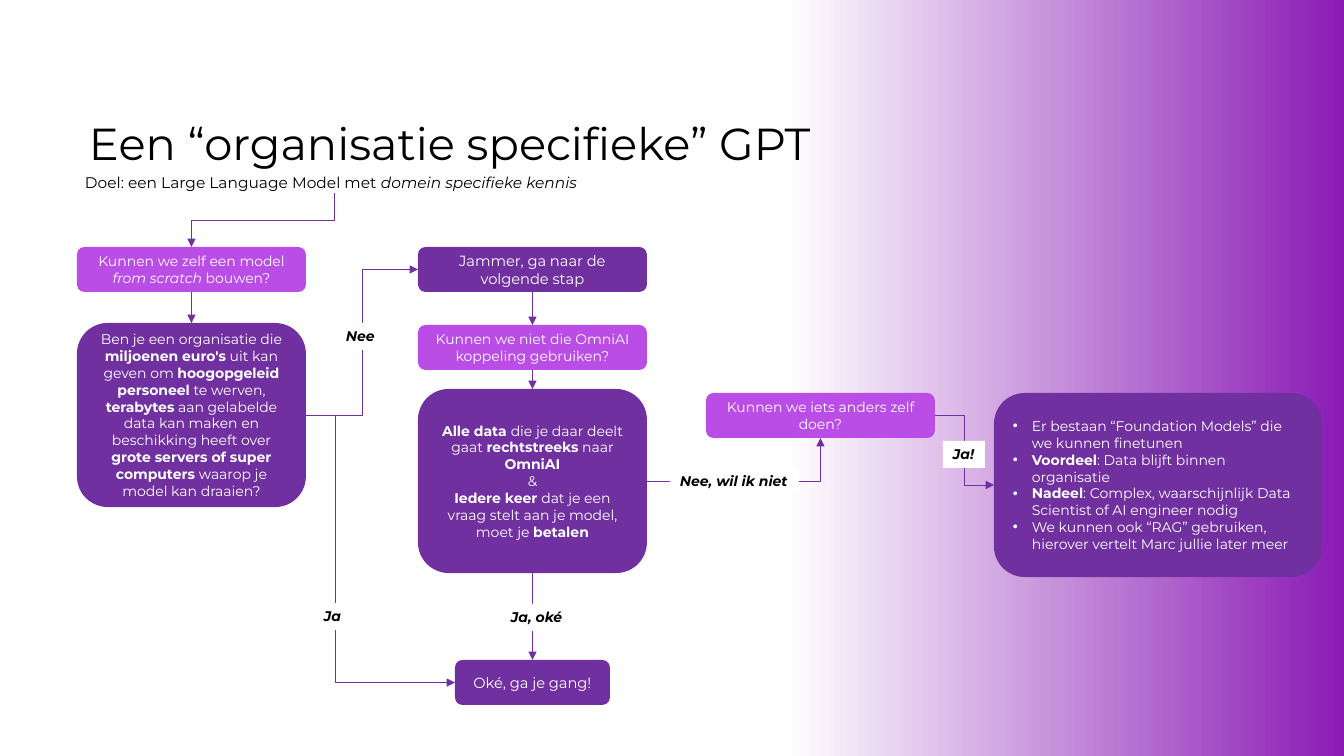
from lxml.etree import SubElement
from pptx import Presentation
from pptx.dml.color import RGBColor
from pptx.enum.shapes import MSO_CONNECTOR, MSO_SHAPE
from pptx.enum.text import MSO_ANCHOR, PP_ALIGN
from pptx.oxml.ns import qn
from pptx.util import Pt

BLACK = RGBColor(0x00, 0x00, 0x00)
WHITE = RGBColor(0xFF, 0xFF, 0xFF)
QUESTION = RGBColor(0xBA, 0x4D, 0xE5)
ANSWER = RGBColor(0x70, 0x30, 0xA0)
GLOW = RGBColor(0x8A, 0x1B, 0xB5)

EMU_PER_PX = 914400 / 100.8
TOP, LEFT, BOTTOM, RIGHT = range(4)
BOX_WIDTH, LOW, TALL = 229, 45, 184
FIRST, SECOND, THIRD = 77, 418, 706


def px(*lengths):
    return [round(length * EMU_PER_PX) for length in lengths]


class Flowchart:
    """Draws the parts of a flowchart on one slide in a shared style."""

    def __init__(self, slide, font="Montserrat"):
        self.slide = slide
        self.font = font

    def set_text(self, frame, paragraphs, size, color, emphasis="bold", bullet=None, **layout):
        frame.word_wrap = True
        for index, text in enumerate(paragraphs):
            paragraph = frame.paragraphs[0] if index == 0 else frame.add_paragraph()
            if bullet:
                properties = paragraph._p.get_or_add_pPr()
                indent, = px(19)
                properties.set("marL", str(indent))
                properties.set("indent", str(-indent))
                SubElement(properties, qn("a:buFont")).set("typeface", "Arial")
                SubElement(properties, qn("a:buChar")).set("char", bullet)
            for name, value in layout.items():
                setattr(paragraph, name, value)
            for part, words in enumerate(text.split("*")):
                if words:
                    run = paragraph.add_run()
                    run.text = words
                    style = {"name": self.font, "size": Pt(size)}
                    if part % 2:
                        style[emphasis] = True
                    for name, value in style.items():
                        setattr(run.font, name, value)
                    run.font.color.rgb = color

    def backdrop(self, *place):
        panel = self.slide.shapes.add_shape(MSO_SHAPE.RECTANGLE, *px(*place))
        panel.shadow.inherit = False
        panel.line.fill.background()
        panel.fill.gradient()
        panel.fill.gradient_angle = 180
        for stop, color, position in zip(panel.fill.gradient_stops, (GLOW, WHITE), (0, 1)):
            stop.color.rgb = color
            stop.position = position

    def heading(self, place, text, size):
        box = self.slide.shapes.add_textbox(*px(*place))
        self.set_text(box.text_frame, [text], size, BLACK, "italic", line_spacing=0.9)
        return box

    def box(self, place, color, paragraphs, size=10, emphasis="bold",
            alignment=PP_ALIGN.CENTER, bullet=None):
        box = self.slide.shapes.add_shape(MSO_SHAPE.ROUNDED_RECTANGLE, *px(*place))
        box.shadow.inherit = False
        box.fill.solid()
        box.fill.fore_color.rgb = color
        box.line.fill.background()
        box.text_frame.vertical_anchor = MSO_ANCHOR.MIDDLE
        self.set_text(box.text_frame, paragraphs, size, WHITE, emphasis, bullet,
                      alignment=alignment)
        return box

    def label(self, place, text):
        label = self.slide.shapes.add_textbox(*px(*place))
        label.fill.solid()
        label.fill.fore_color.rgb = WHITE
        self.set_text(label.text_frame, [f"*{text}*"], 10, BLACK)
        label.text_frame.word_wrap = False
        label.text_frame.paragraphs[0].runs[0].font.italic = True
        return label

    def link(self, source, source_side, target, target_side, bends=0, arrow=True):
        kind = MSO_CONNECTOR.ELBOW if bends else MSO_CONNECTOR.STRAIGHT
        link = self.slide.shapes.add_connector(kind, 0, 0, 0, 0)
        link.begin_connect(source, source_side)
        link.end_connect(target, target_side)
        link.line.color.rgb = ANSWER
        link.line.width = Pt(0.5)
        properties = link._element.spPr
        SubElement(properties, qn("a:effectLst"))
        if arrow:
            SubElement(properties.find(qn("a:ln")), qn("a:tailEnd")).set("type", "triangle")
        if bends == 1:
            properties.find(qn("a:prstGeom")).set("prst", "bentConnector2")
        if bends and source_side in (TOP, BOTTOM):
            self.turn(link)

    def turn(self, link):
        across = link.end_x - link.begin_x
        down = link.end_y - link.begin_y
        width, height = abs(down), abs(across)
        frame = {
            "left": (link.begin_x + link.end_x - width) // 2,
            "top": (link.begin_y + link.end_y - height) // 2,
            "width": width,
            "height": height,
        }
        for name, value in frame.items():
            setattr(link, name, value)
        transform = link._element.spPr.find(qn("a:xfrm"))
        turned = {
            "rot": str((90 if down > 0 else 270) * 60000),
            "flipH": "0",
            "flipV": str(int((across < 0) == (down < 0))),
        }
        for name, value in turned.items():
            transform.set(name, value)


def main():
    presentation = Presentation()
    presentation.slide_width, presentation.slide_height = px(1344, 756)
    chart = Flowchart(presentation.slides.add_slide(presentation.slide_layouts[6]))

    chart.backdrop(786, 0, 558, 756)
    chart.heading((79, 117, 769, 65), "Een “organisatie specifieke” GPT", 32)
    goal = chart.heading((75, 170, 518, 23),
                         "Doel: een Large Language Model met *domein specifieke kennis*", 11)

    from_scratch = chart.box((FIRST, 247, BOX_WIDTH, LOW), QUESTION,
                             ["Kunnen we zelf een model *from scratch* bouwen?"],
                             emphasis="italic")
    own_means = chart.box((FIRST, 323, BOX_WIDTH, TALL), ANSWER, [
        "Ben je een organisatie die *miljoenen euro's* uit kan geven om "
        "*hoogopgeleid personeel* te werven, *terabytes* aan gelabelde data kan maken en "
        "beschikking heeft over *grote servers of super computers *waarop je model kan draaien?"])
    next_step = chart.box((SECOND, 247, BOX_WIDTH, LOW), ANSWER,
                          ["Jammer, ga naar de volgende stap"], 10.5)
    coupling = chart.box((SECOND, 325, BOX_WIDTH, LOW), QUESTION,
                         ["Kunnen we niet die OmniAI koppeling gebruiken?"])
    data_sharing = chart.box((SECOND, 389, BOX_WIDTH, TALL), ANSWER, [
        "*Alle data *die je daar deelt gaat *rechtstreeks* naar *OmniAI*",
        "&",
        "*Iedere keer *dat je een vraag stelt aan je model, moet je *betalen*"])
    go_ahead = chart.box((455, 660, 155, LOW), ANSWER, ["Oké, ga je gang!"], 10.5)
    alternative = chart.box((THIRD, 393, BOX_WIDTH, LOW), QUESTION,
                            ["Kunnen we iets anders zelf doen?"])
    foundation = chart.box((994, 393, 328, TALL), ANSWER, [
        "Er bestaan “Foundation Models” die we kunnen finetunen",
        "*Voordeel*: Data blijft binnen organisatie",
        "*Nadeel*: Complex, waarschijnlijk Data Scientist of AI engineer nodig",
        "We kunnen ook “RAG” gebruiken, hierover vertelt Marc jullie later meer",
    ], alignment=PP_ALIGN.LEFT, bullet="•")
    yes = chart.label((314, 603, 42, 27), "Ja")

    chart.link(goal, BOTTOM, from_scratch, TOP, bends=2)
    chart.link(from_scratch, BOTTOM, own_means, TOP)
    chart.link(own_means, RIGHT, next_step, LEFT, bends=2)
    chart.link(yes, TOP, own_means, RIGHT, bends=1, arrow=False)
    chart.link(yes, BOTTOM, go_ahead, LEFT, bends=1)
    chart.link(next_step, BOTTOM, coupling, TOP)
    chart.link(coupling, BOTTOM, data_sharing, TOP)
    chart.link(data_sharing, BOTTOM, go_ahead, TOP)
    chart.link(data_sharing, RIGHT, alternative, BOTTOM, bends=1)
    chart.link(alternative, RIGHT, foundation, LEFT, bends=2)

    chart.label((336, 323, 60, 27), "Nee")
    chart.label((501, 604, 78, 27), "Ja, oké")
    chart.label((670, 468, 129, 27), "Nee, wil ik niet")
    chart.label((943, 441, 42, 27), "Ja!")

    presentation.save("out.pptx")


if __name__ == "__main__":
    main()
